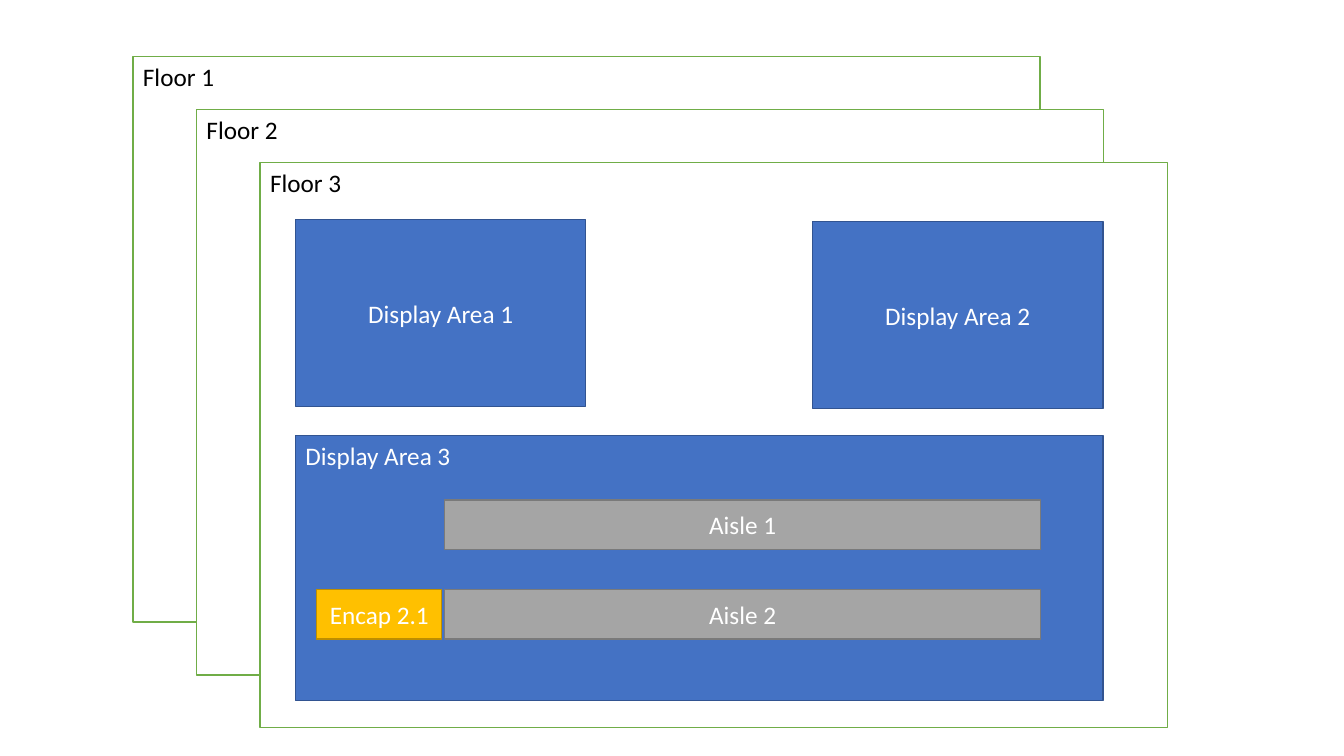
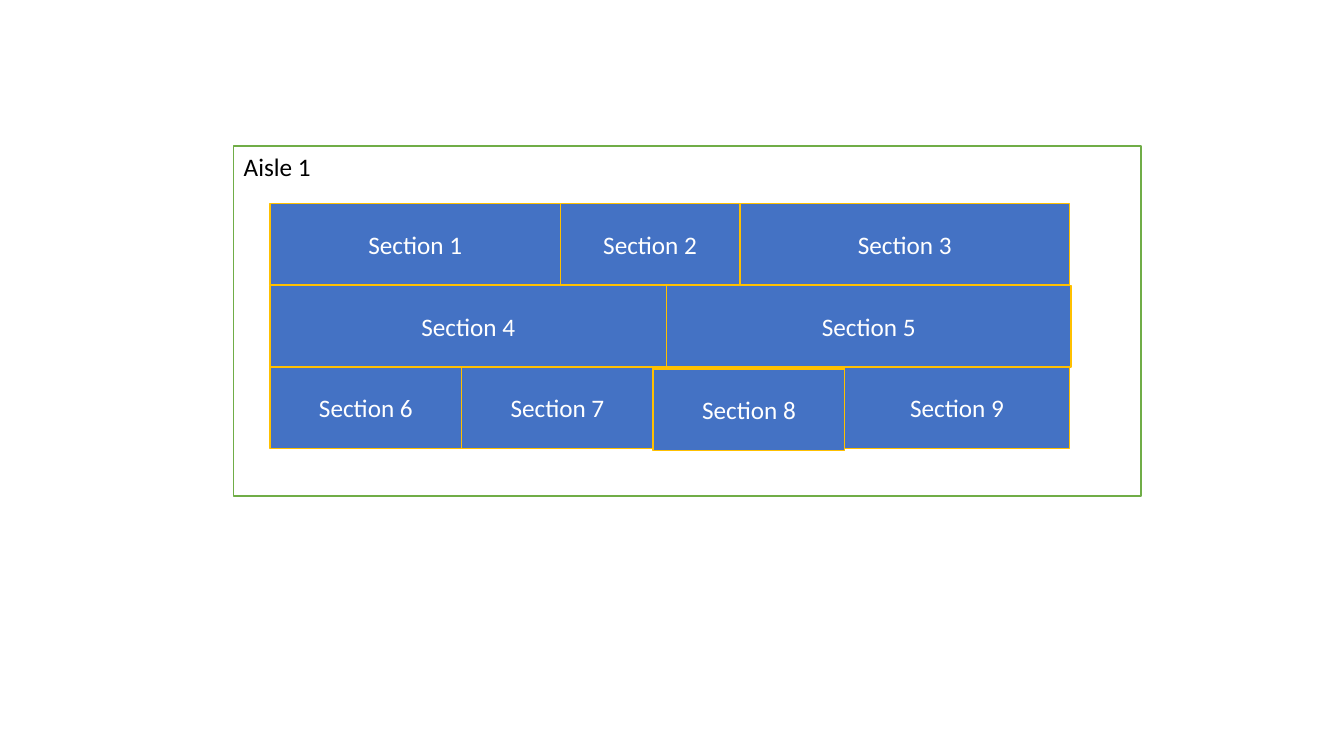
from dataclasses import dataclass

from pptx import Presentation
from pptx.dml.color import RGBColor
from pptx.enum.shapes import MSO_SHAPE
from pptx.enum.text import MSO_ANCHOR, PP_ALIGN
from pptx.util import Inches, Pt

SLIDE_WIDTH = Inches(13.33)
SLIDE_HEIGHT = Inches(7.5)
BLANK_LAYOUT = 6


@dataclass(frozen=True)
class Style:
    fill: str
    line: str
    text: str = "FFFFFF"
    centred: bool = True


@dataclass(frozen=True)
class Theme:
    font: str = "Calibri"
    text_size: int = 18
    line_width: int = 1
    frame: Style = Style("FFFFFF", "70AD47", "000000", False)
    area: Style = Style("4472C4", "325491")
    titled_area: Style = Style("4472C4", "325491", centred=False)
    aisle: Style = Style("A5A5A5", "7A7A7A")
    endcap: Style = Style("FFC000", "BD8E00")
    section: Style = Style("4472C4", "FFC000")


THEME = Theme()


@dataclass(frozen=True)
class Box:
    """Position and size in percent of the slide."""

    left: float
    top: float
    width: float
    height: float

    def inside(self, left, top, width, height):
        return Box(self.left + left, self.top + top, width, height)

    def emu(self):
        return (
            int(SLIDE_WIDTH * self.left / 100),
            int(SLIDE_HEIGHT * self.top / 100),
            int(SLIDE_WIDTH * self.width / 100),
            int(SLIDE_HEIGHT * self.height / 100),
        )


def add_block(slide, box, text, style):
    shape = slide.shapes.add_shape(MSO_SHAPE.RECTANGLE, *box.emu())
    shape.shadow.inherit = False
    shape.fill.solid()
    shape.fill.fore_color.rgb = RGBColor.from_string(style.fill)
    shape.line.color.rgb = RGBColor.from_string(style.line)
    shape.line.width = Pt(THEME.line_width)

    frame = shape.text_frame
    frame.word_wrap = True
    frame.vertical_anchor = MSO_ANCHOR.MIDDLE if style.centred else MSO_ANCHOR.TOP
    paragraph = frame.paragraphs[0]
    paragraph.text = text
    paragraph.alignment = PP_ALIGN.CENTER if style.centred else PP_ALIGN.LEFT
    paragraph.font.name = THEME.font
    paragraph.font.size = Pt(THEME.text_size)
    paragraph.font.color.rgb = RGBColor.from_string(style.text)


def add_floors(slide, box, count):
    step_across, step_down = 4.73, 7
    for index in range(count):
        floor = box.inside(index * step_across, index * step_down, box.width, box.height)
        add_block(slide, floor, f"Floor {index + 1}", THEME.frame)
    return floor


def add_display_areas(slide, floor):
    areas = [
        (floor.inside(2.63, 7.6, 21.6, 24.67), THEME.area),
        (floor.inside(41.1, 7.87, 21.6, 24.67), THEME.area),
        (floor.inside(2.63, 36.13, 60.08, 35.07), THEME.titled_area),
    ]
    for number, (area, style) in enumerate(areas, 1):
        add_block(slide, area, f"Display Area {number}", style)
    return area


def add_aisles(slide, area):
    first_row, row_pitch, row_height = 8.53, 11.87, 6.53
    for index in range(2):
        row_top = first_row + index * row_pitch
        aisle = area.inside(11.1, row_top, 44.33, row_height)
        add_block(slide, aisle, f"Aisle {index + 1}", THEME.aisle)
    add_block(slide, area.inside(1.58, row_top, 9.3, row_height), "Encap 2.1", THEME.endcap)


def add_sections(slide, aisle):
    row_height = 10.8
    row_widths = [
        (21.6, 13.35, 24.53),
        (29.5, 30.08),
        (14.25, 14.25, 14.25, 16.73),
    ]
    drops = {8: 0.27}
    number = 1
    for row, widths in enumerate(row_widths):
        left = 2.7
        for width in widths:
            top = 7.6 + row * row_height + drops.get(number, 0)
            section = aisle.inside(left, top, width, row_height)
            add_block(slide, section, f"Section {number}", THEME.section)
            left += width
            number += 1


def build_floor_slide(slide):
    front_floor = add_floors(slide, Box(9.9, 7.47, 67.5, 74.8), 3)
    main_area = add_display_areas(slide, front_floor)
    add_aisles(slide, main_area)


def build_aisle_slide(slide):
    aisle = Box(17.4, 19.33, 67.5, 46.27)
    add_block(slide, aisle, "Aisle 1", THEME.frame)
    add_sections(slide, aisle)


def main():
    presentation = Presentation()
    presentation.slide_width = SLIDE_WIDTH
    presentation.slide_height = SLIDE_HEIGHT
    for build in (build_floor_slide, build_aisle_slide):
        build(presentation.slides.add_slide(presentation.slide_layouts[BLANK_LAYOUT]))
    presentation.save("out.pptx")


if __name__ == "__main__":
    main()
